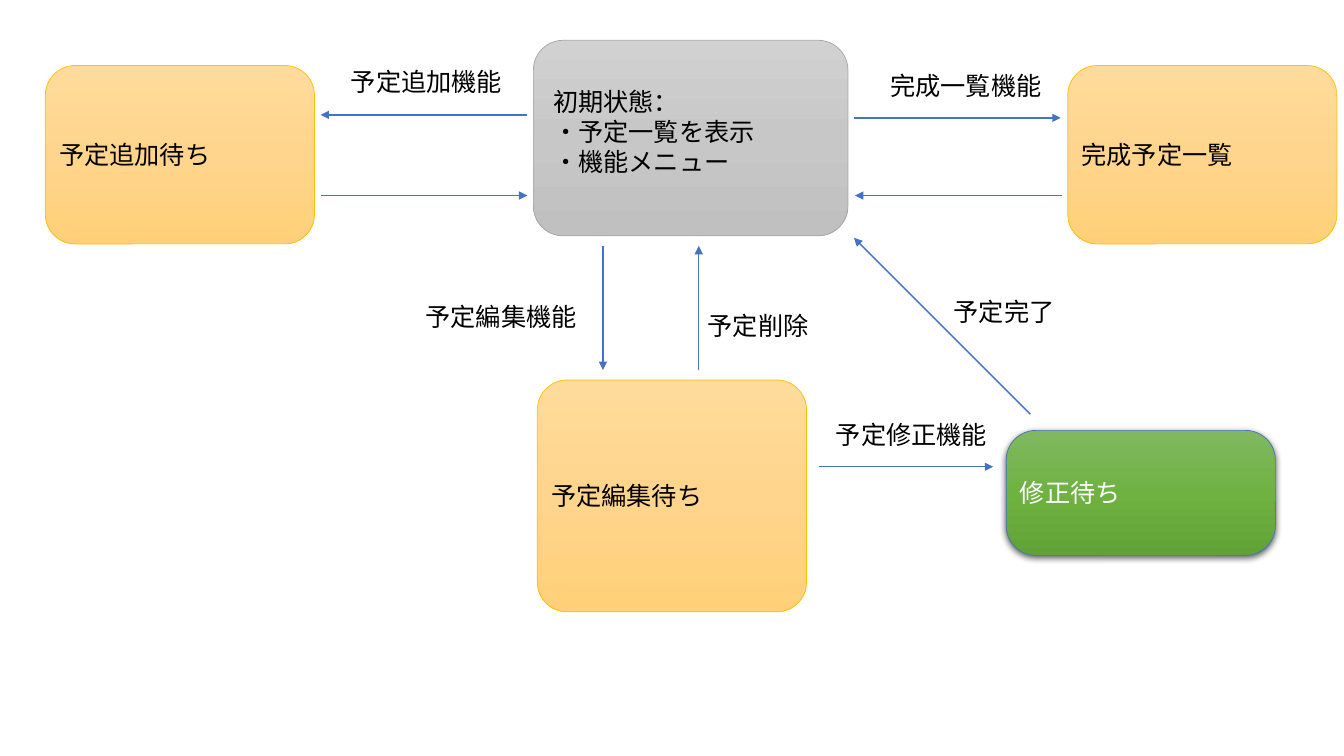
from copy import deepcopy
from typing import NamedTuple

from lxml import etree
from pptx import Presentation
from pptx.dml.color import RGBColor
from pptx.enum.shapes import MSO_CONNECTOR, MSO_SHAPE
from pptx.enum.text import MSO_ANCHOR, MSO_AUTO_SIZE, PP_ALIGN
from pptx.oxml.ns import qn
from pptx.util import Inches, Pt

ROUNDED = MSO_SHAPE.ROUNDED_RECTANGLE
STRAIGHT = MSO_CONNECTOR.STRAIGHT
TOP, MIDDLE = MSO_ANCHOR.TOP, MSO_ANCHOR.MIDDLE
LEFT = PP_ALIGN.LEFT
FIT_SHAPE = MSO_AUTO_SIZE.SHAPE_TO_FIT_TEXT

FONT = "Noto Sans CJK JP"
FONT_SIZE = Pt(18)
INSET = 0.05
CHARACTER_WIDTH = 0.25
CAPTION_HEIGHT = 0.4
CORNER_RADIUS = 0.295

COLORS = {
    "black": "000000",
    "white": "FFFFFF",
    "blue": "4472C4",
    "gray": "A5A5A5",
    "gold": "FFC000",
}
GRADIENTS = {
    "gray": ("D1D1D1", "C7C7C7", "C0C0C0"),
    "gold": ("FFDB9B", "FFD58D", "FFD078"),
    "green": ("80B860", "6FB242", "61A236"),
}


class Insets(NamedTuple):
    """Text margins in inches."""
    left: float = INSET
    top: float = INSET
    right: float = INSET
    bottom: float = INSET


class State(NamedTuple):
    """A rounded box of the state diagram."""
    text: str
    left: float
    top: float
    width: float = 2.67
    height: float = 1.77
    gradient: str = "gold"
    outline: str = "gold"
    ink: str = "black"
    insets: Insets = Insets()
    shadow: bool = False


class Transition(NamedTuple):
    """An arrow between two states."""
    start: tuple[float, float]
    end: tuple[float, float]


class Caption(NamedTuple):
    """The name of a transition."""
    text: str
    left: float
    top: float


STATES = [
    State("初期状態：\n・予定一覧を表示\n・機能メニュー", 5.29, 0.4, 3.12, 1.94,
          "gray", "gray", insets=Insets(left=0.11, bottom=0.18)),
    State("予定追加待ち", 0.45, 0.65),
    State("予定編集待ち", 5.33, 3.77, height=2.3),
    State("完成予定一覧", 10.59, 0.65),
    State("修正待ち", 9.98, 4.27, height=1.24, gradient="green",
          outline="blue", ink="white", shadow=True),
]
TRANSITIONS = [
    Transition((5.23, 1.14), (3.18, 1.14)),
    Transition((3.18, 1.94), (5.23, 1.94)),
    Transition((5.98, 2.44), (5.98, 3.67)),
    Transition((6.93, 3.67), (6.93, 2.44)),
    Transition((8.12, 4.63), (9.85, 4.63)),
    Transition((10.22, 4.11), (8.47, 2.36)),
    Transition((8.47, 1.17), (10.52, 1.17)),
    Transition((10.53, 1.94), (8.48, 1.94)),
]
CAPTIONS = [
    Caption("予定追加機能", 3.43, 0.61),
    Caption("予定編集機能", 4.17, 2.94),
    Caption("予定修正機能", 8.24, 4.11),
    Caption("完成一覧機能", 8.78, 0.65),
    Caption("予定削除", 6.97, 3.03),
    Caption("予定完了", 9.41, 2.89),
]


def rgb(name: str) -> RGBColor:
    """Look up a named colour."""
    return RGBColor.from_string(COLORS[name])


def write_text(frame, text: str, ink: str, insets: Insets, anchor) -> None:
    """Fill a text frame and format its runs."""
    frame.text = text
    frame.vertical_anchor = anchor
    frame.margin_left = Inches(insets.left)
    frame.margin_top = Inches(insets.top)
    frame.margin_right = Inches(insets.right)
    frame.margin_bottom = Inches(insets.bottom)
    for para in frame.paragraphs:
        para.alignment = LEFT
        for span in para.runs:
            span.font.size = FONT_SIZE
            span.font.color.rgb = rgb(ink)
            span.font.name = FONT
            properties = span.font._element
            etree.SubElement(properties, qn("a:ea"), typeface=FONT)


def fill_gradient(box, colors: tuple[str, ...]) -> None:
    """Fill a box from top to bottom with evenly spaced stops."""
    box.fill.gradient()
    box.fill.gradient_angle = 270
    stop_list = box.element.spPr.find(f".//{qn('a:gsLst')}")
    stop_list.insert(1, deepcopy(stop_list[0]))
    for index, (stop, color) in enumerate(zip(box.fill.gradient_stops, colors)):
        stop.position = index / (len(colors) - 1)
        stop.color.rgb = RGBColor.from_string(color)


def add_shadow(box) -> None:
    """Put a soft black shadow below a box."""
    effects = box.element.spPr.find(qn("a:effectLst"))
    shadow = etree.SubElement(
        effects, qn("a:outerShdw"), blurRad=str(Pt(5)), dist=str(Pt(1.5)),
        dir="5400000", algn="ctr", rotWithShape="0")
    color = etree.SubElement(shadow, qn("a:srgbClr"), val=COLORS["black"])
    etree.SubElement(color, qn("a:alpha"), val="63000")


def draw_state(page, state: State) -> None:
    """Draw a state with its text."""
    box = page.shapes.add_shape(
        ROUNDED, Inches(state.left), Inches(state.top),
        Inches(state.width), Inches(state.height))
    box.adjustments[0] = CORNER_RADIUS / min(state.width, state.height)
    box.shadow.inherit = False
    fill_gradient(box, GRADIENTS[state.gradient])
    box.line.color.rgb = rgb(state.outline)
    box.line.width = Pt(0.5)
    if state.shadow:
        add_shadow(box)
    write_text(box.text_frame, state.text, state.ink, state.insets, MIDDLE)


def draw_transition(page, transition: Transition) -> None:
    """Draw an arrow with a triangular head at its end."""
    points = [Inches(value) for value in transition.start + transition.end]
    arrow = page.shapes.add_connector(STRAIGHT, *points)
    arrow.line.color.rgb = rgb("blue")
    arrow.line.width = Pt(1)
    properties = arrow.element.spPr
    etree.SubElement(properties.find(qn("a:ln")), qn("a:tailEnd"), type="triangle")
    etree.SubElement(properties, qn("a:effectLst"))


def draw_caption(page, caption: Caption) -> None:
    """Draw a caption as wide as its characters."""
    width = len(caption.text) * CHARACTER_WIDTH + 2 * INSET
    box = page.shapes.add_textbox(
        Inches(caption.left), Inches(caption.top),
        Inches(width), Inches(CAPTION_HEIGHT))
    box.text_frame.word_wrap = False
    box.text_frame.auto_size = FIT_SHAPE
    write_text(box.text_frame, caption.text, "black", Insets(), TOP)


def main() -> None:
    """Build the state diagram and save it."""
    deck = Presentation()
    deck.slide_width, deck.slide_height = Inches(13.33), Inches(7.5)
    page = deck.slides.add_slide(deck.slide_layouts[6])
    for state in STATES:
        draw_state(page, state)
    for transition in TRANSITIONS:
        draw_transition(page, transition)
    for caption in CAPTIONS:
        draw_caption(page, caption)
    deck.save("out.pptx")


main()
